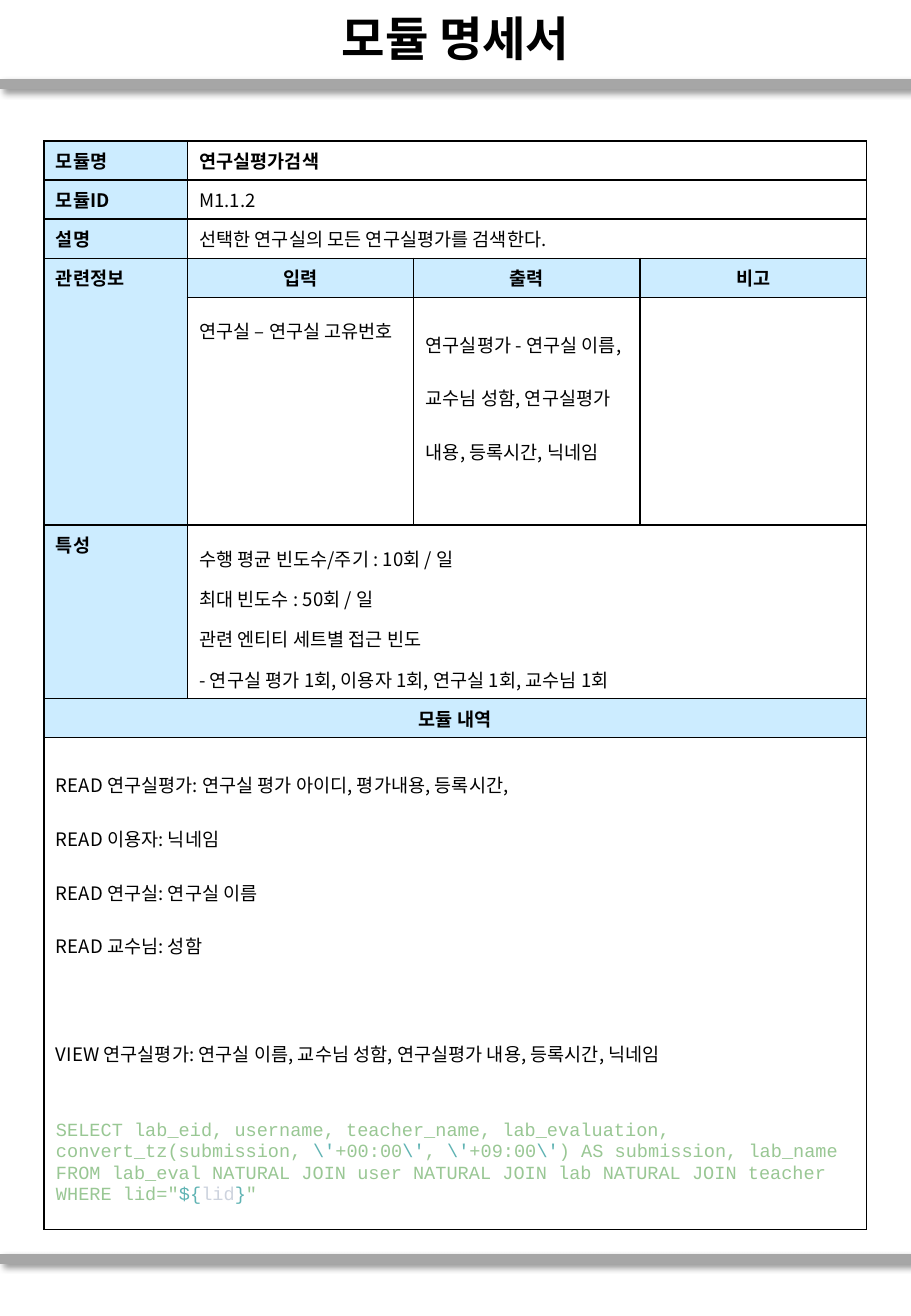
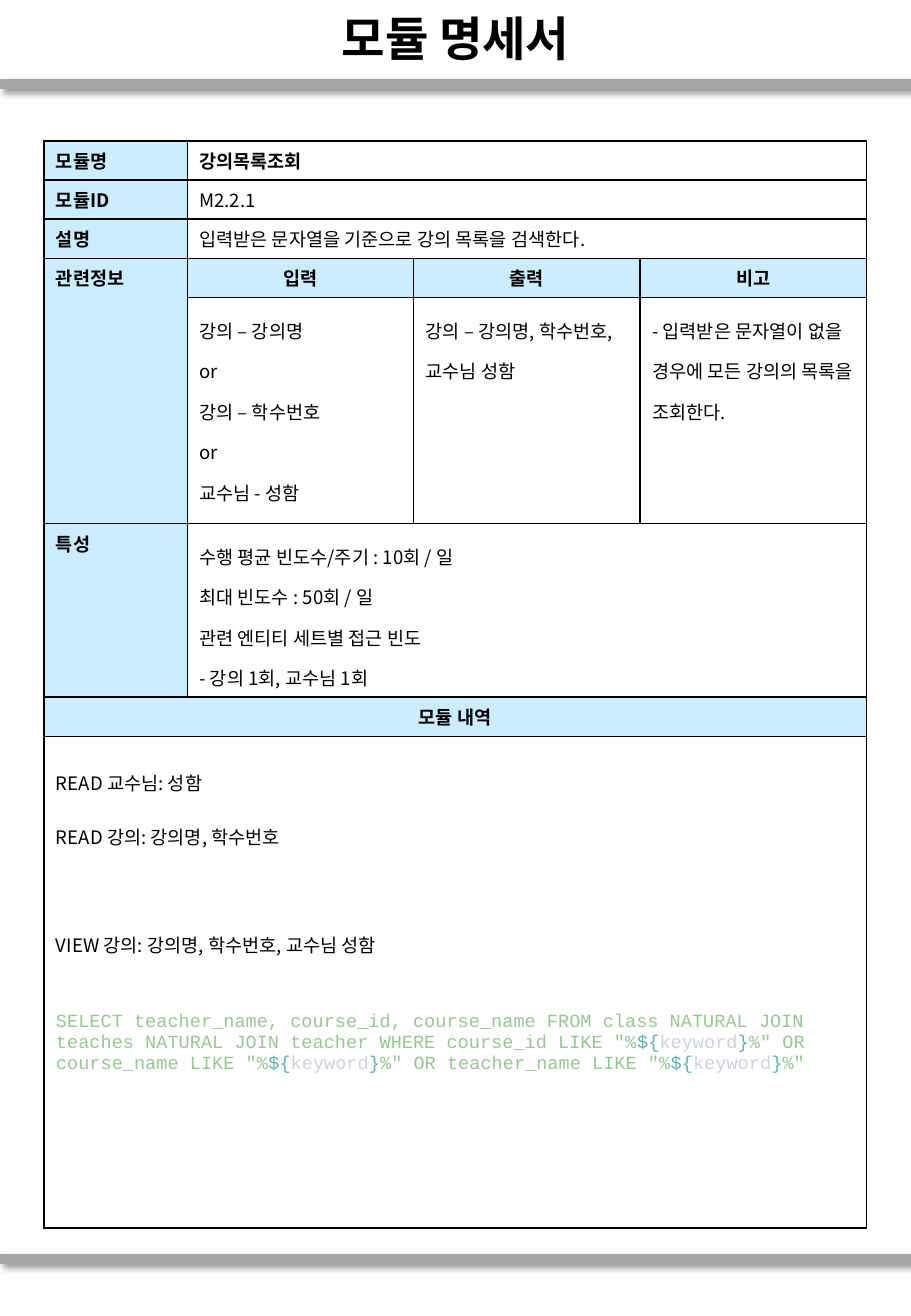
from dataclasses import dataclass

from lxml import etree
from pptx import Presentation
from pptx.dml.color import RGBColor
from pptx.enum.shapes import MSO_CONNECTOR as Connector
from pptx.enum.text import MSO_ANCHOR as Anchor, PP_ALIGN as Align
from pptx.oxml import parse_xml
from pptx.oxml.ns import nsdecls, qn
from pptx.util import Pt

# Shared look
PAGE_WIDTH, PAGE_HEIGHT = 540, 780
BODY_FONT, CODE_FONT = "Noto Sans CJK KR", "Courier New"
BLACK, WHITE, RULE_GRAY, LABEL_BLUE = "000000", "FFFFFF", "A6A6A6", "CCECFF"
SQL_GREEN, SQL_TEAL, SQL_PALE = "99C794", "5FB3B3", "CDD3DE"
RULE_TOPS = (49.75, 746)
COLUMN_WIDTHS = (85, 134.2, 134.2, 134.2)
ROW_HEIGHTS = (23.1, 23.1, 23.1, 23.1, 134, 102.5, 23.1, 291.6)
BLANK_LINE = 32  # one body line at double spacing


@dataclass
class Para:
    runs: list  # (text, colour) pairs
    font: str = BODY_FONT
    size: float = 11
    bold: bool = False
    align: Align = Align.LEFT
    spacing: float = 1
    before: float = 0


@dataclass
class Module:
    name: str
    id: str
    summary: str
    inputs: list
    outputs: list
    remarks: list
    access: str
    reads: list
    view: str
    sql: list
    output_spacing: float = 1.5


def rgb(hex_color):
    return RGBColor.from_string(hex_color)


def lines(texts, **style):
    return [Para([(text, BLACK)], **style) for text in texts]


# SQL fragments
def sql(text):
    return [(text, SQL_GREEN)]


def variable(name):
    return [("${", SQL_TEAL), (name, SQL_PALE), ("}", SQL_TEAL)]


def quoted(text):
    quote = ("\\'", SQL_TEAL)
    return [quote, (text, SQL_GREEN), quote]


# Text
def write(frame, paras):
    for index, para in enumerate(paras):
        paragraph = frame.paragraphs[0] if index == 0 else frame.add_paragraph()
        paragraph.alignment = para.align
        paragraph.line_spacing = para.spacing
        paragraph.space_before = Pt(para.before)
        for text, color in para.runs:
            run = paragraph.add_run()
            run.text = text
            font = run.font
            font.name, font.size, font.bold = para.font, Pt(para.size), para.bold
            font.color.rgb = rgb(color)
            east_asian = etree.SubElement(font._element, qn("a:ea"))
            east_asian.set("typeface", para.font)


# Gray rules, shared through the master
def add_master_rule(slide, master, top, shape_id):
    rule = slide.shapes.add_connector(
        Connector.STRAIGHT, 0, Pt(top), Pt(PAGE_WIDTH), Pt(top))
    rule.line.color.rgb = rgb(RULE_GRAY)
    rule.line.width = Pt(6)
    rule.element.spPr.append(parse_xml(
        f'<a:effectLst {nsdecls("a")}><a:outerShdw blurRad="{Pt(4)}" dist="{Pt(3)}" '
        'dir="2700000" algn="tl" rotWithShape="0"><a:srgbClr val="000000">'
        '<a:alpha val="40000"/></a:srgbClr></a:outerShdw></a:effectLst>'))
    rule.element.nvCxnSpPr.cNvPr.set("id", str(shape_id))
    master.shapes.element.append(rule.element)


def set_title(slide, text):
    title = slide.shapes.title
    title.left, title.top = 0, Pt(0.75)
    title.width, title.height = Pt(PAGE_WIDTH), Pt(43)
    title.text_frame.vertical_anchor = Anchor.MIDDLE
    write(title.text_frame, lines([text], size=28, bold=True, align=Align.CENTER))


# Table
def format_cell(cell, fill):
    properties = cell._tc.get_or_add_tcPr()
    for side in ("lnL", "lnR", "lnT", "lnB"):
        properties.append(parse_xml(
            f'<a:{side} {nsdecls("a")} w="{Pt(1)}"><a:solidFill>'
            f'<a:srgbClr val="{BLACK}"/></a:solidFill></a:{side}>'))
    cell.fill.solid()
    cell.fill.fore_color.rgb = rgb(fill)


def add_module_table(slide, module):
    table = slide.shapes.add_table(
        len(ROW_HEIGHTS), len(COLUMN_WIDTHS), Pt(26), Pt(83.5),
        Pt(sum(COLUMN_WIDTHS)), Pt(sum(ROW_HEIGHTS))).table
    table.first_row = table.horz_banding = False
    for column, width in zip(table.columns, COLUMN_WIDTHS):
        column.width = Pt(width)
    for row, height in zip(table.rows, ROW_HEIGHTS):
        row.height = Pt(height)

    # Labels in the left column, in the header row and above the details
    labels = {(0, 0): "모듈명", (1, 0): "모듈ID", (2, 0): "설명",
              (3, 0): "관련정보", (5, 0): "특성", (6, 0): "모듈 내역",
              (3, 1): "입력", (3, 2): "출력", (3, 3): "비고"}
    for row in range(len(ROW_HEIGHTS)):
        for column in range(len(COLUMN_WIDTHS)):
            is_label = row in (3, 6) or (column == 0 and row < 6)
            format_cell(table.cell(row, column), LABEL_BLUE if is_label else WHITE)
    for (row, column), label in labels.items():
        centred = row == 6 or column > 0
        write(table.cell(row, column).text_frame,
              lines([label], bold=True, align=Align.CENTER if centred else Align.LEFT))

    # Spans
    for row in (0, 1, 2, 5):
        table.cell(row, 1).merge(table.cell(row, 3))
    table.cell(3, 0).merge(table.cell(4, 0))
    for row in (6, 7):
        table.cell(row, 0).merge(table.cell(row, 3))

    # Contents
    traits = ["수행 평균 빈도수/주기 : 10회 / 일", "최대 빈도수 : 50회 / 일",
              "관련 엔티티 세트별 접근 빈도", module.access]
    details = (lines(module.reads, spacing=2)
               + lines([module.view], spacing=2, before=BLANK_LINE)
               + [Para(module.sql, font=CODE_FONT, before=BLANK_LINE)])
    contents = {(0, 1): lines([module.name], bold=True),
                (1, 1): lines([module.id]),
                (2, 1): lines([module.summary]),
                (4, 1): lines(module.inputs, spacing=1.5),
                (4, 2): lines(module.outputs, spacing=module.output_spacing),
                (4, 3): lines(module.remarks, spacing=1.5),
                (5, 1): lines(traits, spacing=1.5),
                (7, 0): details}
    for (row, column), paras in contents.items():
        write(table.cell(row, column).text_frame, paras)


MODULES = [
    Module(
        name="연구실평가검색", id="M1.1.2",
        summary="선택한 연구실의 모든 연구실평가를 검색한다.",
        inputs=["연구실 – 연구실 고유번호"],
        outputs=["연구실평가 - 연구실 이름, 교수님 성함, 연구실평가 내용, 등록시간, 닉네임"],
        output_spacing=2,
        remarks=[],
        access="- 연구실 평가 1회, 이용자 1회, 연구실 1회, 교수님 1회",
        reads=["READ 연구실평가: 연구실 평가 아이디, 평가내용, 등록시간,",
               "READ 이용자: 닉네임", "READ 연구실: 연구실 이름", "READ 교수님: 성함"],
        view="VIEW 연구실평가: 연구실 이름, 교수님 성함, 연구실평가 내용, 등록시간, 닉네임",
        sql=sql("SELECT lab_eid, username, teacher_name, lab_evaluation, "
                "convert_tz(submission, ")
        + quoted("+00:00") + sql(", ") + quoted("+09:00")
        + sql(") AS submission, lab_name FROM lab_eval NATURAL JOIN user "
              'NATURAL JOIN lab NATURAL JOIN teacher WHERE lid="')
        + variable("lid") + sql('"')),
    Module(
        name="강의목록조회", id="M2.2.1",
        summary="입력받은 문자열을 기준으로 강의 목록을 검색한다.",
        inputs=["강의 – 강의명", "or", "강의 – 학수번호", "or", "교수님 - 성함"],
        outputs=["강의 – 강의명, 학수번호, 교수님 성함"],
        remarks=["- 입력받은 문자열이 없을 경우에 모든 강의의 목록을 조회한다."],
        access="- 강의 1회, 교수님 1회",
        reads=["READ 교수님: 성함", "READ 강의: 강의명, 학수번호"],
        view="VIEW 강의: 강의명, 학수번호, 교수님 성함",
        sql=sql("SELECT teacher_name, course_id, course_name FROM class NATURAL JOIN "
                'teaches NATURAL JOIN teacher WHERE course_id LIKE "%')
        + variable("keyword") + sql('%" OR course_name LIKE "%')
        + variable("keyword") + sql('%" OR teacher_name LIKE "%')
        + variable("keyword") + sql('%"')),
]


def main():
    prs = Presentation()
    prs.slide_width, prs.slide_height = Pt(PAGE_WIDTH), Pt(PAGE_HEIGHT)
    title_only = prs.slide_layouts[5]
    for module in MODULES:
        slide = prs.slides.add_slide(title_only)
        set_title(slide, "모듈 명세서")
        add_module_table(slide, module)
    for shape_id, top in enumerate(RULE_TOPS, start=101):
        add_master_rule(prs.slides[0], prs.slide_master, top, shape_id)
    prs.save("out.pptx")


if __name__ == "__main__":
    main()
